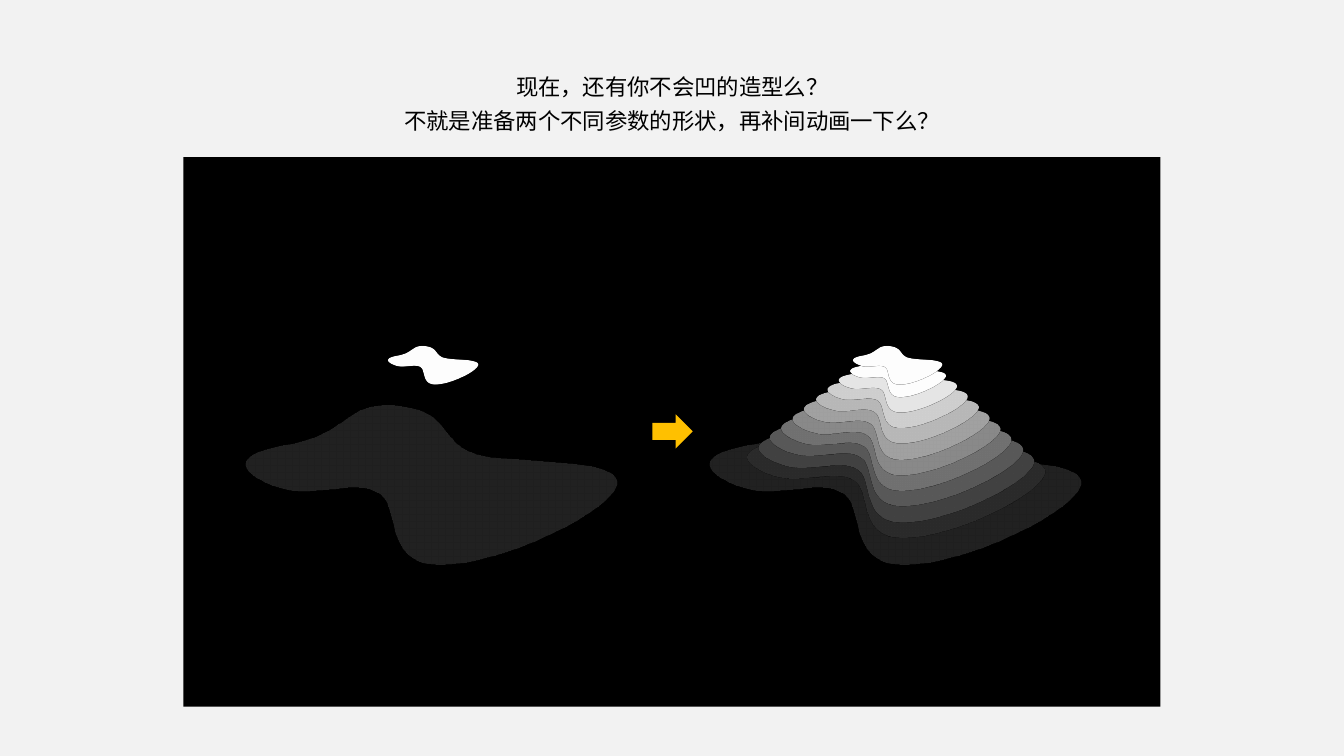
from typing import NamedTuple

from lxml import etree
from pptx import Presentation
from pptx.dml.color import RGBColor
from pptx.enum.shapes import MSO_SHAPE
from pptx.enum.text import MSO_AUTO_SIZE, PP_ALIGN
from pptx.oxml.ns import qn
from pptx.util import Inches, Pt

RECTANGLE = MSO_SHAPE.RECTANGLE
RIGHT_ARROW = MSO_SHAPE.RIGHT_ARROW
CENTER = PP_ALIGN.CENTER
FIT_SHAPE = MSO_AUTO_SIZE.SHAPE_TO_FIT_TEXT

SLIDE_WIDTH = Inches(13.33)
SLIDE_HEIGHT = Inches(7.5)
CJK_FONT = "Noto Sans CJK SC"

BLOB_WIDTH = 19.13
BLOB_HEIGHT = 41.07
BLOB_START = (0.22, 0.03)
BLOB_CURVES = [
    ((-0.04, -0.08), (-0.03, 0.16), (0.05, 0.25)),
    ((0.13, 0.33), (0.31, 0.36), (0.25, 0.48)),
    ((0.19, 0.59), (-0.09, 0.77), (0.12, 0.89)),
    ((0.33, 1.02), (0.89, 1.04), (0.98, 0.93)),
    ((1.08, 0.81), (0.71, 0.6), (0.71, 0.47)),
    ((0.71, 0.34), (0.85, 0.27), (0.73, 0.13)),
    ((0.6, -0.01), (0.47, 0.15), (0.22, 0.03)),
]
LAYER_STEPS = 11


class Blob(NamedTuple):
    center_x: float
    center_y: float
    scale: float
    color: str
    inset: float = 0


class Block(NamedTuple):
    kind: int
    left: float
    top: float
    width: float
    height: float
    color: str


def across(percent: float) -> int:
    return round(SLIDE_WIDTH * percent / 100)


def down(percent: float) -> int:
    return round(SLIDE_HEIGHT * percent / 100)


def rgb(color: str) -> RGBColor:
    return RGBColor.from_string(color)


def paint(shape, color: str) -> None:
    shape.fill.solid()
    shape.fill.fore_color.rgb = rgb(color)
    shape.line.fill.background()
    shape.shadow.inherit = False


def draw_block(page, block: Block) -> None:
    shape = page.shapes.add_shape(
        block.kind, across(block.left), down(block.top),
        across(block.width), down(block.height))
    paint(shape, block.color)


def tilt(shape) -> None:
    scene = etree.SubElement(shape._element.spPr, qn("a:scene3d"))
    etree.SubElement(scene, qn("a:camera"), prst="isometricTopUp")
    etree.SubElement(scene, qn("a:lightRig"), rig="threePt", dir="t")


def curve_outline(shape, inset: float) -> None:
    outline = next(shape._element.iter(qn("a:path")))
    for element in list(outline):
        outline.remove(element)
    for tag, points in [("a:moveTo", [BLOB_START]),
                        *(("a:cubicBezTo", curve) for curve in BLOB_CURVES)]:
        segment = etree.SubElement(outline, qn(tag))
        for x, y in points:
            etree.SubElement(
                segment, qn("a:pt"),
                x=str(round(shape.width * (inset + (1 - 2 * inset) * x))),
                y=str(round(shape.height * (inset + (1 - 2 * inset) * y))))
    etree.SubElement(outline, qn("a:close"))


def draw_blob(page, blob: Blob) -> None:
    half_width = BLOB_WIDTH * blob.scale / 2
    half_height = BLOB_HEIGHT * blob.scale / 2
    left, right = across(blob.center_x - half_width), across(blob.center_x + half_width)
    top, bottom = down(blob.center_y - half_height), down(blob.center_y + half_height)
    builder = page.shapes.build_freeform(left, top)
    builder.add_line_segments([(right, top), (right, bottom), (left, bottom)], close=True)
    shape = builder.convert_to_shape()
    curve_outline(shape, blob.inset)
    paint(shape, blob.color)
    tilt(shape)


def add_line(para, text: str, *, font: str, size: float, color: str) -> None:
    para.alignment = CENTER
    para.line_spacing = 1.25
    span = para.add_run()
    span.text = text
    span.font.size = Pt(size)
    span.font.name = font
    span.font.color.rgb = rgb(color)
    etree.SubElement(span.font._element, qn("a:ea"), typeface=CJK_FONT)


def draw_heading(page) -> None:
    box = page.shapes.add_textbox(across(28.88), down(8.13), across(42.31), down(10))
    frame = box.text_frame
    frame.word_wrap = False
    frame.auto_size = FIT_SHAPE
    add_line(frame.paragraphs[0], "现在，还有你不会凹的造型么？",
             font="Arial", size=16, color="000000")
    add_line(frame.add_paragraph(), "不就是准备两个不同参数的形状，再补间动画一下么？",
             font=CJK_FONT, size=16, color="000000")


def mountain_layers() -> list[Blob]:
    layers = []
    for step in range(1, LAYER_STEPS):
        gray = 255 * step // LAYER_STEPS
        layers.append(Blob(66.88, 63.03 - 1.36 * step, 1 - 0.07 * step,
                           f"{gray:02X}" * 3, inset=0.07))
    return layers


def main() -> None:
    deck = Presentation()
    deck.slide_width = SLIDE_WIDTH
    deck.slide_height = SLIDE_HEIGHT
    page = deck.slides.add_slide(deck.slide_layouts[6])
    page.background.fill.solid()
    page.background.fill.fore_color.rgb = rgb("F2F2F2")

    draw_heading(page)
    draw_block(page, Block(RECTANGLE, 13.65, 20.8, 72.69, 72.67, "000000"))
    blobs = [
        Blob(66.88, 62.93, 1, "0D0D0D"),
        *mountain_layers(),
        Blob(66.88, 48.07, 0.24, "FFFFFF"),
        Blob(32.37, 62.93, 1, "0D0D0D"),
        Blob(32.3, 48.07, 0.24, "FFFFFF"),
    ]
    for blob in blobs:
        draw_blob(page, blob)
    draw_block(page, Block(RIGHT_ARROW, 48.54, 54.8, 3, 4.53, "FFC000"))
    deck.save("out.pptx")


if __name__ == "__main__":
    main()
